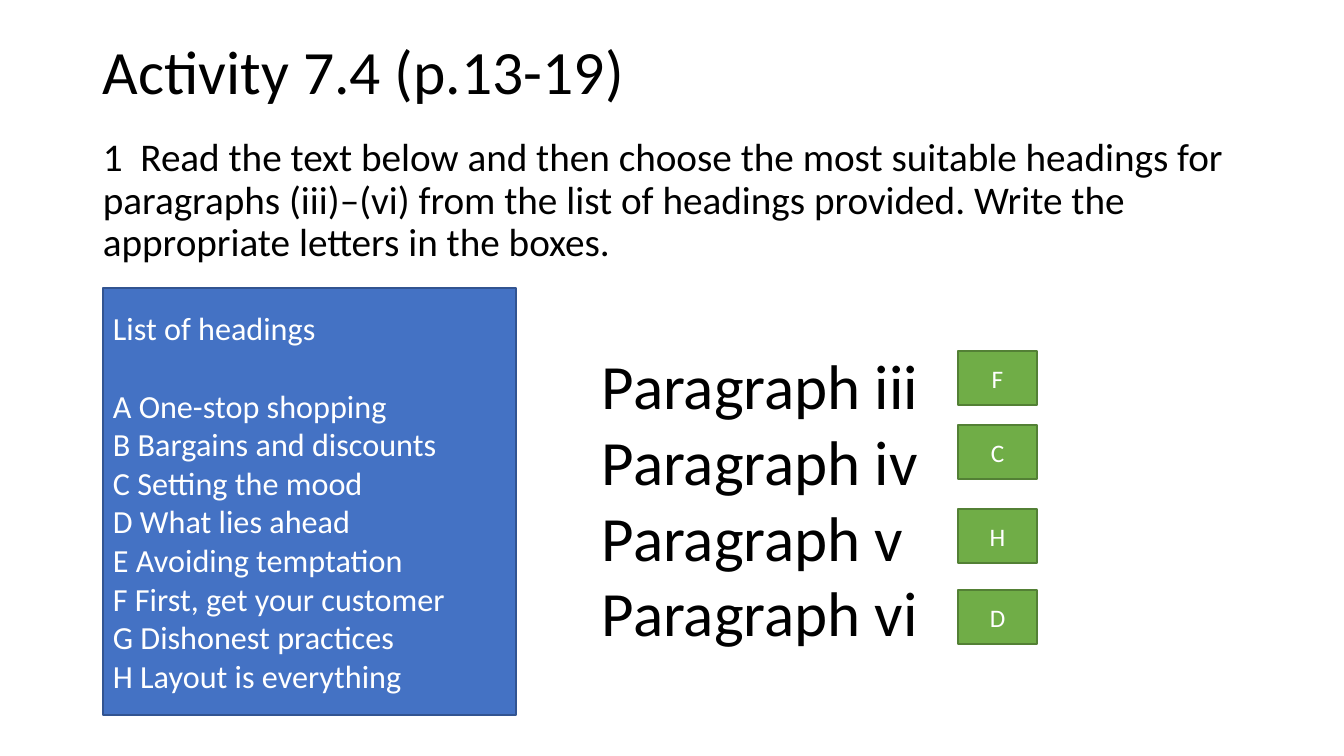
from pptx import Presentation
from pptx import util as u
from pptx.dml.color import RGBColor
from pptx.enum import shapes, text

# Content
TITLE = "Activity 7.4 (p.13-19)"
INSTRUCTION = ("1  Read the text below and then choose the most suitable headings for "
               "paragraphs (iii)–(vi) from the list of headings provided. "
               "Write the appropriate letters in the boxes.")
LIST_TITLE = "List of headings"
HEADINGS = ["One-stop shopping", "Bargains and discounts", "Setting the mood",
            "What lies ahead", "Avoiding temptation", "First, get your customer",
            "Dishonest practices", "Layout is everything"]
# paragraph number, answer letter, top of the answer box
ANSWERS = [("iii", "F", 351), ("iv", "C", 425), ("v", "H", 509), ("vi", "D", 590)]

# Format
FONT = "Calibri"
BLACK = RGBColor(0x00, 0x00, 0x00)
WHITE = RGBColor(0xFF, 0xFF, 0xFF)
BLUE, BLUE_EDGE = RGBColor(0x44, 0x72, 0xC4), RGBColor(0x32, 0x54, 0x91)
GREEN, GREEN_EDGE = RGBColor(0x70, 0xAD, 0x47), RGBColor(0x53, 0x80, 0x35)
MIDDLE, TOP = text.MSO_ANCHOR.MIDDLE, text.MSO_ANCHOR.TOP
LEFT, CENTER = text.PP_ALIGN.LEFT, text.PP_ALIGN.CENTER
PIXEL = u.Inches(1) / 100.8

presentation = Presentation()
presentation.slide_width = u.Inches(13.333)
presentation.slide_height = u.Inches(7.5)
slide = presentation.slides.add_slide(presentation.slide_layouts[6])


def pixels(*lengths):
    return [round(length * PIXEL) for length in lengths]


def write(shape, lines, size, color, anchor=TOP, **paragraph_format):
    frame = shape.text_frame
    frame.word_wrap = True
    frame.vertical_anchor = anchor
    frame.text = "\n".join(lines)
    for paragraph in frame.paragraphs:
        for name, value in {"alignment": LEFT, **paragraph_format}.items():
            setattr(paragraph, name, value)
        for name, value in {"name": FONT, "size": u.Pt(size)}.items():
            setattr(paragraph.font, name, value)
        paragraph.font.color.rgb = color
    return frame


def add_text(box, lines, size, **layout):
    return write(slide.shapes.add_textbox(*pixels(*box)), lines, size, BLACK, **layout)


def add_box(box, fill, edge, lines, size, **layout):
    shape = slide.shapes.add_shape(shapes.MSO_SHAPE.RECTANGLE, *pixels(*box))
    shape.shadow.inherit = False
    shape.fill.solid()
    shape.fill.fore_color.rgb = fill
    shape.line.color.rgb = edge
    shape.line.width = u.Pt(1)
    return write(shape, lines, size, WHITE, anchor=MIDDLE, **layout)


# Title and instruction
add_text((93, 2, 1159, 146), [TITLE], 44, anchor=MIDDLE, line_spacing=0.9)
add_text((93, 133, 1214, 583), [INSTRUCTION], 28, line_spacing=0.9, space_before=u.Pt(10))

# Lettered list of headings, set off from its title by one line
lettered = [f"{letter} {heading}" for letter, heading in zip("ABCDEFGH", HEADINGS)]
heading_list = add_box((103, 288, 413, 427), BLUE, BLUE_EDGE, [LIST_TITLE] + lettered, 23)
heading_list.paragraphs[0].space_after = u.Pt(28)

# Paragraph numbers and their answers
add_text((592, 342, 672, 316), [f"Paragraph {number}" for number, _, _ in ANSWERS], 45)
for _, letter, top in ANSWERS:
    add_box((958, top, 79, 54), GREEN, GREEN_EDGE, [letter], 18, alignment=CENTER)

presentation.save("out.pptx")
